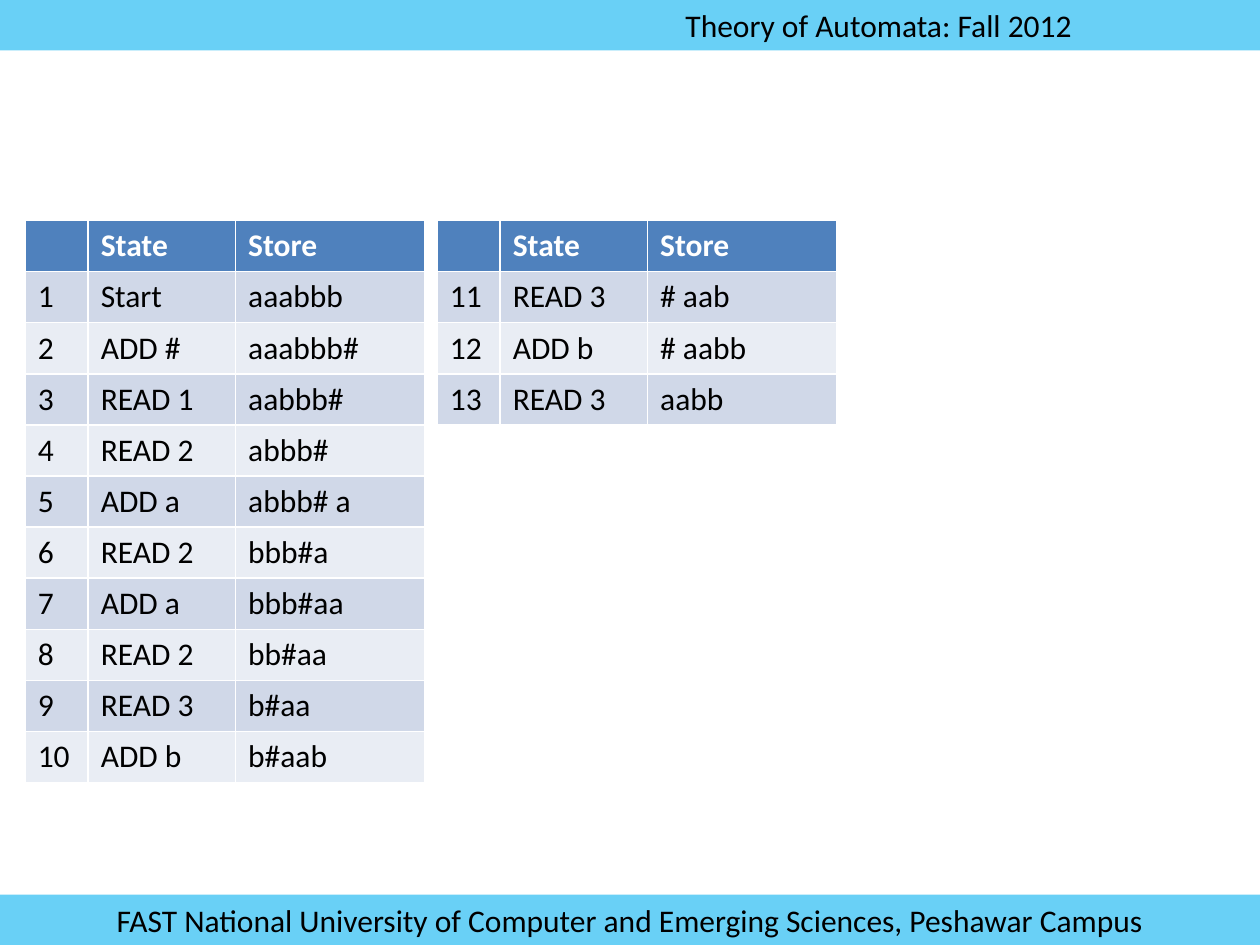
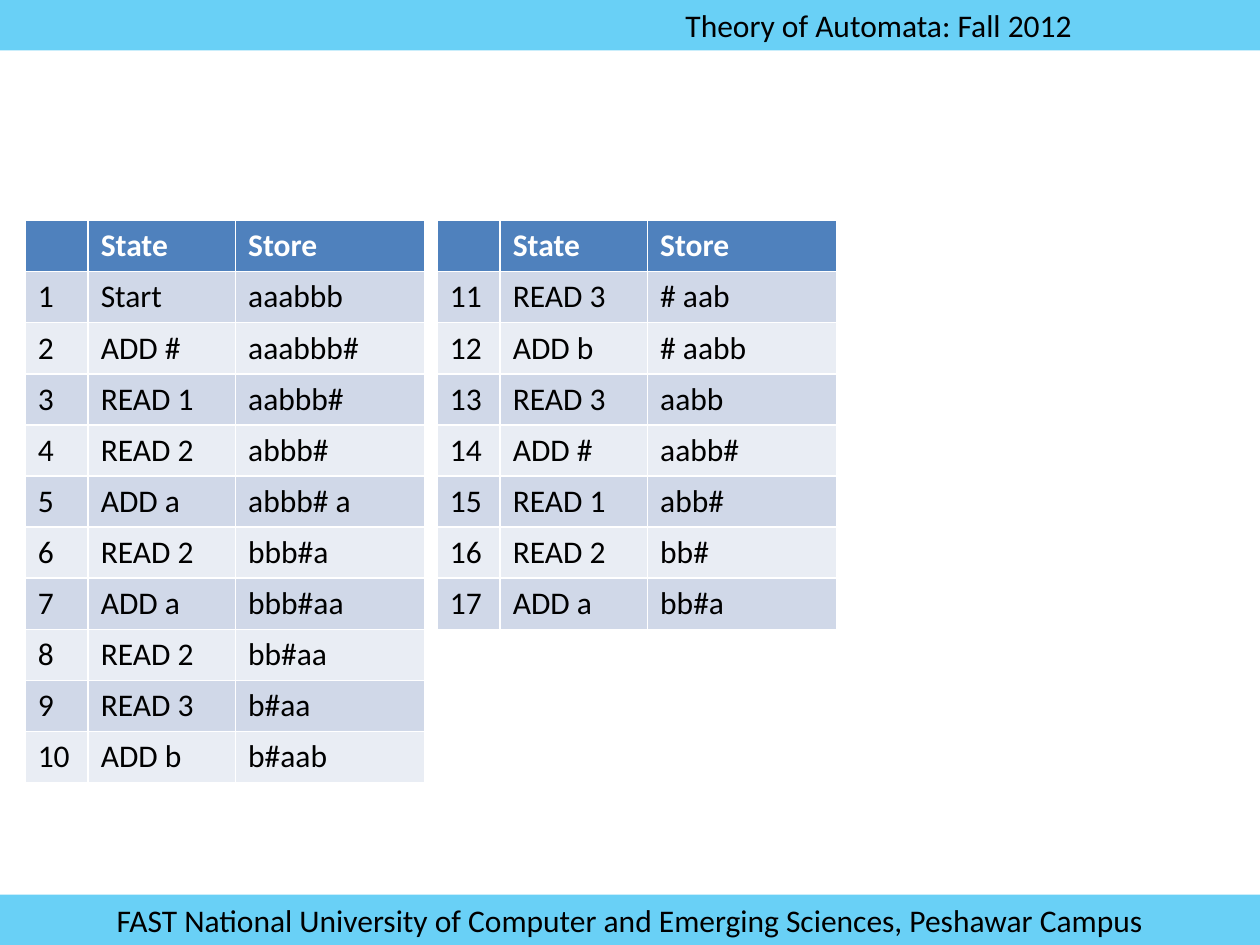
"""Build two slides tracing a Post machine run under shared course bands."""
from dataclasses import dataclass

from lxml.etree import SubElement
from pptx import Presentation
from pptx.dml.color import RGBColor
from pptx.enum.shapes import MSO_SHAPE
from pptx.enum.text import MSO_ANCHOR, PP_ALIGN
from pptx.oxml.ns import qn
from pptx.util import Inches, Pt


@dataclass(frozen=True)
class Theme:
    band: RGBColor = RGBColor(0x00, 0xB0, 0xF0)
    head: RGBColor = RGBColor(0x4F, 0x81, 0xBD)
    odd: RGBColor = RGBColor(0xD0, 0xD8, 0xE8)
    even: RGBColor = RGBColor(0xE9, 0xED, 0xF4)
    ink: RGBColor = RGBColor(0, 0, 0)
    white: RGBColor = RGBColor(255, 255, 255)
    font: str = "Calibri"
    size: Pt = Pt(18)


theme = Theme()


def style(para, color, bold=False):
    font = para.font
    font.name, font.size, font.bold = theme.font, theme.size, bold
    font.color.rgb = color


deck = Presentation()
deck.slide_width, deck.slide_height = Inches(10), Inches(7.5)
blank = deck.slide_layouts[6]
slides = [deck.slides.add_slide(blank) for _ in range(2)]

tall = Inches(0.4)
bands = [
    (0, "Theory of Automata: Fall 2012", PP_ALIGN.LEFT, Inches(5.44)),
    (deck.slide_height - tall,
     "FAST National University of Computer and Emerging Sciences, Peshawar Campus",
     PP_ALIGN.CENTER, Inches(0.1)),
]
for slot, (top, text, align, inset) in enumerate(bands):
    band = slides[0].shapes.add_shape(
        MSO_SHAPE.RECTANGLE, 0, top, deck.slide_width, tall)
    band.shadow.inherit = False
    band.fill.solid()
    band.fill.fore_color.rgb = theme.band
    tint = band.element.find(".//" + qn("a:srgbClr"))
    SubElement(tint, qn("a:alpha")).set("val", "59000")
    band.line.fill.background()
    frame = band.text_frame
    frame.margin_left = inset
    frame.vertical_anchor = MSO_ANCHOR.MIDDLE
    para = frame.paragraphs[0]
    para.text, para.alignment = text, align
    style(para, theme.ink)
    band.element.nvSpPr.cNvPr.set("id", str(20 + slot))
    deck.slide_master.shapes.element.append(band.element)

steps = [
    ("Start", "aaabbb"), ("ADD #", "aaabbb#"), ("READ 1", "aabbb#"),
    ("READ 2", "abbb#"), ("ADD a", "abbb# a"), ("READ 2", "bbb#a"),
    ("ADD a", "bbb#aa"), ("READ 2", "bb#aa"), ("READ 3", "b#aa"),
    ("ADD b", "b#aab"), ("READ 3", "# aab"), ("ADD b", "# aabb"),
    ("READ 3", "aabb"), ("ADD #", "aabb#"), ("READ 1", "abb#"),
    ("READ 2", "bb#"), ("ADD a", "bb#a"),
]
trace = [(str(num), *step) for num, step in enumerate(steps, 1)]
page = 10
cols = [Inches(0.5), Inches(1.17), Inches(1.5)]
wide = sum(cols)
row = Inches(4.46 / 11)
left, top, gap = Inches(0.2), Inches(1.75), Inches(0.1)

for slide, count in zip(slides, (13, 17)):
    for part, start in enumerate(range(0, count, page)):
        rows = [("", "State", "Store"), *trace[start:min(start + page, count)]]
        grid = slide.shapes.add_table(
            len(rows), len(cols), left + part * (wide + gap), top,
            wide, row * len(rows)).table
        for col, width in zip(grid.columns, cols):
            col.width = width
        for line, texts in enumerate(rows):
            grid.rows[line].height = row
            fill = theme.odd if line % 2 else theme.even
            for spot, text in enumerate(texts):
                cell = grid.cell(line, spot)
                cell.fill.solid()
                cell.fill.fore_color.rgb = fill if line else theme.head
                para = cell.text_frame.paragraphs[0]
                para.text = text
                style(para, theme.ink if line else theme.white, line == 0)

deck.save("out.pptx")
